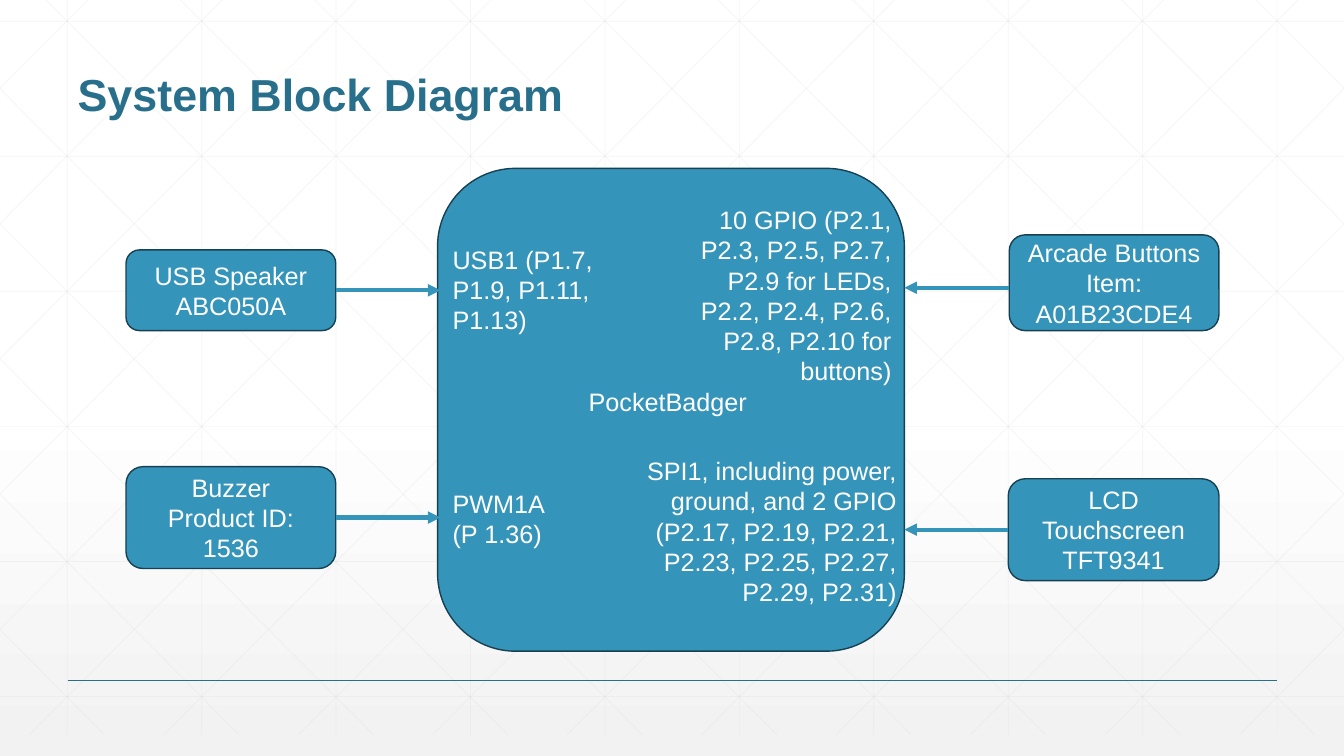
from lxml import etree
from pptx import Presentation
from pptx.dml.color import RGBColor
from pptx.enum.shapes import MSO_CONNECTOR, MSO_SHAPE
from pptx.enum.text import MSO_ANCHOR, MSO_AUTO_SIZE, PP_ALIGN
from pptx.oxml.ns import qn
from pptx.util import Inches, Pt

WHITE = RGBColor(0xFF, 0xFF, 0xFF)
PALE = RGBColor(0xF2, 0xF2, 0xF2)
GRID = RGBColor(0xD9, 0xD9, 0xD9)
TEAL = RGBColor(0x27, 0x6F, 0x8B)
BLUE = RGBColor(0x34, 0x94, 0xBA)
NAVY = RGBColor(0x17, 0x41, 0x52)
WIDTH, HEIGHT = 13.33, 7.5

prs = Presentation()
prs.slide_width, prs.slide_height = Inches(WIDTH), Inches(HEIGHT)
s = prs.slides.add_slide(prs.slide_layouts[5])


def add_line(x1, y1, x2, y2, color, width):
    line = s.shapes.add_connector(MSO_CONNECTOR.STRAIGHT, Inches(x1), Inches(y1),
                                  Inches(x2), Inches(y2))
    line.line.color.rgb = color
    line.line.width = Pt(width)
    etree.SubElement(line.element.spPr, qn("a:effectLst"))
    return line


def write(tf, lines, align, size=18, color=WHITE, bold=False):
    tf.word_wrap = True
    for i, text in enumerate(lines):
        p = tf.add_paragraph() if i else tf.paragraphs[0]
        p.alignment = align
        r = p.add_run()
        r.text = text
        r.font.name = "Arial"
        r.font.size = Pt(size)
        r.font.bold = bold
        r.font.color.rgb = color


# Background gradient
fill = s.background.fill
fill.gradient()
fill.gradient_angle = 270
for stop, position, color in zip(fill.gradient_stops, (0.53, 1), (WHITE, PALE)):
    stop.position = position
    stop.color.rgb = color

# Faint grid: verticals, horizontals and mirrored diagonals cut at the slide edges
TOP, BOTTOM, STEP = -0.21, 7.29, 4 / 3
RUN = 7.455
SLOPE = (BOTTOM - TOP) / RUN
grid = [(STEP * (k + 0.5), TOP, STEP * (k + 0.5), BOTTOM) for k in range(10)]
grid += [(0, 0.21 + 1.34 * k, WIDTH, 0.21 + 1.34 * k) for k in range(6)]
for k in range(-5, 10):
    start = 0.25 + STEP * k
    x1, x2 = max(start, 0), min(start + RUN, WIDTH)
    y1, y2 = (TOP + (x - start) * SLOPE for x in (x1, x2))
    grid += [(x1, y1, x2, y2), (WIDTH - x1, y1, WIDTH - x2, y2)]
for ends in grid:
    line = add_line(*ends, GRID, 0.5)
    rgb = line.element.spPr.find(".//" + qn("a:srgbClr"))
    etree.SubElement(rgb, qn("a:alpha"), val="25000")

add_line(0.67, 6.75, 12.67, 6.75, TEAL, 1)

# Title, brought in front of the grid
title = s.shapes.title
title.left, title.top, title.width, title.height = map(Inches, (0.67, 0.25, 12, 1))
tf = title.text_frame
tf.auto_size = MSO_AUTO_SIZE.NONE
tf.vertical_anchor = MSO_ANCHOR.BOTTOM
write(tf, ["System Block Diagram"], PP_ALIGN.LEFT, 32, TEAL, True)
tf.paragraphs[0].line_spacing = 0.9
title.element.getparent().append(title.element)

# Board in the middle, then the devices around it
BOARD_LEFT, BOARD_RIGHT = 4.37, 8.97
blocks = [
    (4.34, 1.67, 4.63, 4.79, []),
    (1.25, 2.48, 2.08, 0.8, ["USB Speaker", "ABC050A"]),
    (1.25, 4.63, 2.08, 1.01, ["Buzzer", "Product ID: 1536"]),
    (10.01, 2.33, 2.08, 0.95, ["Arcade Buttons", "Item: A01B23CDE4"]),
    (10, 4.75, 2.09, 1.01, ["LCD Touchscreen", "TFT9341"]),
]
devices = []
for x, y, w, h, lines in blocks:
    sp = s.shapes.add_shape(MSO_SHAPE.ROUNDED_RECTANGLE, *map(Inches, (x, y, w, h)))
    sp.shadow.inherit = False
    sp.fill.solid()
    sp.fill.fore_color.rgb = BLUE
    sp.line.color.rgb = NAVY
    sp.line.width = Pt(1)
    sp.text_frame.vertical_anchor = MSO_ANCHOR.MIDDLE
    write(sp.text_frame, lines, PP_ALIGN.CENTER)
    if lines:
        devices.append((sp, x, y + h / 2, w))

# Arrows from each device to the board; the third sits just below the side's middle
for (sp, x, middle, w), drop in zip(devices, (0, 0, 0.05, 0)):
    on_left = x < BOARD_LEFT
    start, end = (x + w, BOARD_LEFT) if on_left else (x, BOARD_RIGHT)
    arrow = add_line(start, middle + drop, end, middle + drop, BLUE, 3)
    if not drop:
        arrow.begin_connect(sp, 3 if on_left else 1)
    etree.SubElement(arrow.line._get_or_add_ln(), qn("a:tailEnd"), type="triangle")

# Pin labels on the board
labels = [
    (4.39, 2.37, 1.63, 1.01, PP_ALIGN.LEFT, "USB1 (P1.7, P1.9, P1.11, P1.13)"),
    (4.39, 4.79, 1.21, 0.71, PP_ALIGN.LEFT, "PWM1A (P 1.36)"),
    (5.74, 3.78, 1.84, 0.4, PP_ALIGN.LEFT, "PocketBadger"),
    (6.54, 1.98, 2.4, 1.92, PP_ALIGN.RIGHT,
     "10 GPIO (P2.1, P2.3, P2.5, P2.7, P2.9 for LEDs, "
     "P2.2, P2.4, P2.6, P2.8, P2.10 for buttons)"),
    (5.98, 4.47, 3.01, 1.62, PP_ALIGN.RIGHT,
     "SPI1, including power, ground, and 2 GPIO "
     "(P2.17, P2.19, P2.21, P2.23, P2.25, P2.27, P2.29, P2.31)"),
]
for x, y, w, h, align, text in labels:
    box = s.shapes.add_textbox(*map(Inches, (x, y, w, h)))
    box.text_frame.auto_size = MSO_AUTO_SIZE.SHAPE_TO_FIT_TEXT
    write(box.text_frame, [text], align)

prs.save("out.pptx")
